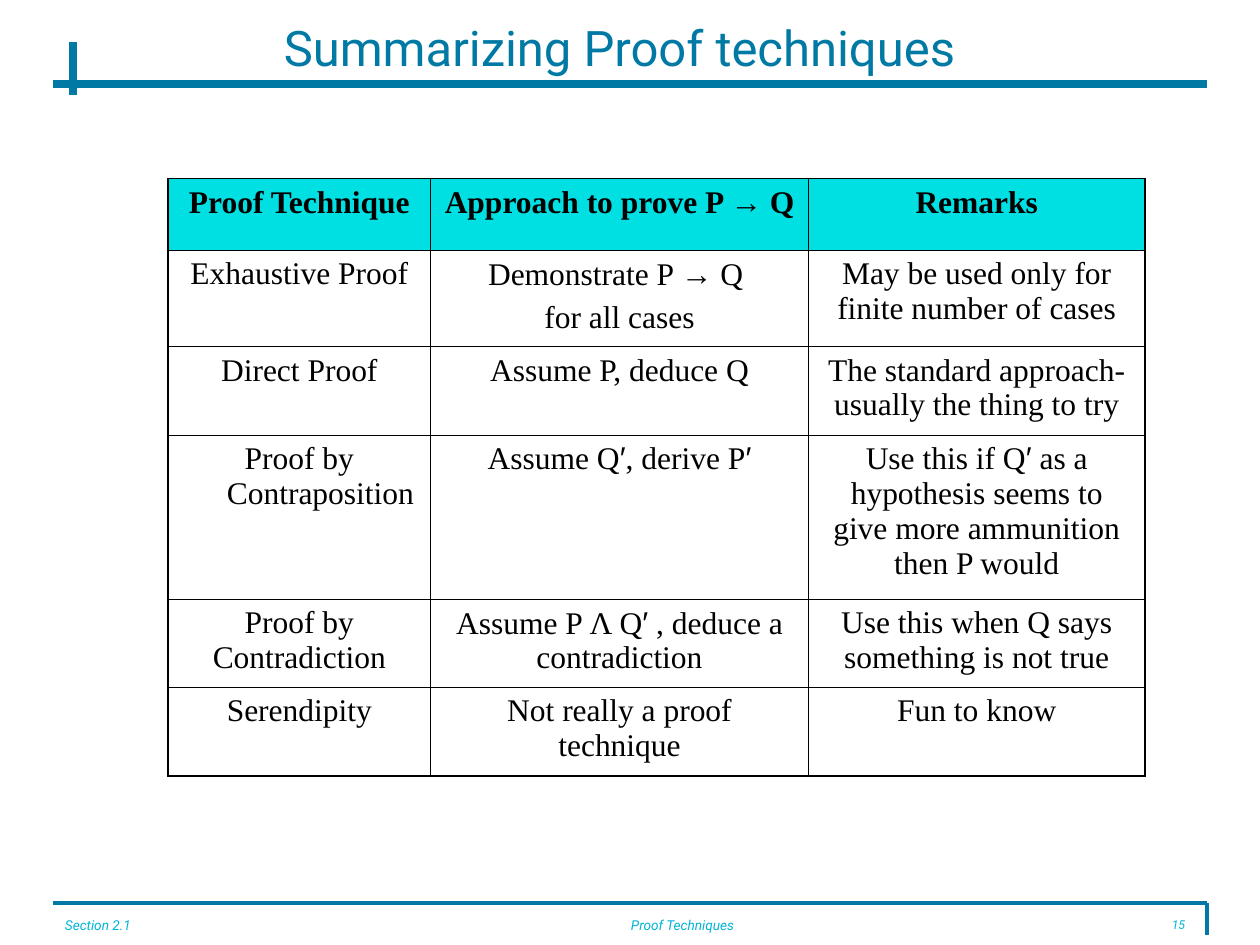
from dataclasses import dataclass
from itertools import groupby

from lxml.etree import SubElement
from pptx import Presentation
from pptx.dml.color import RGBColor
from pptx.enum.shapes import MSO_CONNECTOR as Connector
from pptx.enum.text import MSO_ANCHOR as Anchor, PP_ALIGN as Align
from pptx.oxml.ns import qn
from pptx.util import Cm, Pt


@dataclass(frozen=True)
class Theme:
    rule: RGBColor = RGBColor.from_string("007AA5")
    footer: RGBColor = RGBColor.from_string("00B5D6")
    header_fill: RGBColor = RGBColor.from_string("00E0E3")
    ink: RGBColor = RGBColor.from_string("000000")
    heading_font: str = "Roboto"
    table_font: str = "Times New Roman"
    symbol_font: str = "Arial"
    title_size: float = 28
    table_size: float = 18
    footer_size: float = 7.8
    number_size: float = 7
    outer_border: float = 1.08
    inner_border: float = 0.45


THEME = Theme()
SYMBOLS = "→′"

RULES = [  # x1, y1, x2, y2 in cm, width in points
    (1.06, 18.2, 24.34, 18.2, 2.25),
    (24.34, 18.2, 24.34, 18.84, 2.25),
    (1.06, 1.69, 24.34, 1.69, 4.5),
    (1.48, 0.85, 1.48, 1.91, 4.5),
]
FOOTERS = [  # text, left and width in cm, alignment, size
    ("Section 2.1", 1.06, 4.45, Align.LEFT, THEME.footer_size),
    ("Proof Techniques", 8.47, 10.58, Align.CENTER, THEME.footer_size),
    ("15", 22.23, 1.91, Align.RIGHT, THEME.number_size),
]
COLUMN_WIDTHS = [5.29, 7.62, 6.78]
ROW_HEIGHTS = [1.45, 1.93, 1.78, 3.31, 1.78, 1.78]
TECHNIQUES = [
    ("Proof Technique", "Approach to prove P → Q ", "Remarks"),
    ("Exhaustive Proof", "Demonstrate P → Q \nfor all cases",
     "May be used only for finite number of cases"),
    ("Direct Proof", "Assume P, deduce Q",
     "The standard approach- usually the thing to try"),
    ("Proof by Contraposition", "Assume Q′, derive P′",
     "Use this if Q′ as a hypothesis seems to give more ammunition then P would"),
    ("Proof by Contradiction", "Assume P Λ Q′ , deduce a contradiction",
     "Use this when Q says something is not true"),
    ("Serendipity", "Not really a proof technique", "Fun to know"),
]
HANGING_CELL = (3, 0)


def apply_format(target, values):
    for name, value in values.items():
        setattr(target, name, value)


def add_span(para, text, color, **values):
    span = para.add_run()
    span.text = text
    apply_format(span.font, values)
    span.font.color.rgb = color


def add_rule(slide, x1, y1, x2, y2, width):
    rule = slide.shapes.add_connector(
        Connector.STRAIGHT, Cm(x1), Cm(y1), Cm(x2), Cm(y2))
    rule.line.color.rgb = THEME.rule
    rule.line.width = Pt(width)
    SubElement(rule._element.spPr, qn("a:effectLst"))


def add_footer(slide, text, left, width, alignment, size):
    box = slide.shapes.add_textbox(Cm(left), Cm(18.42), Cm(width), Cm(0.64))
    box.text_frame.word_wrap = True
    para = box.text_frame.paragraphs[0]
    apply_format(para, {"alignment": alignment, "line_spacing": 0.8})
    add_span(para, text, THEME.footer, name=THEME.heading_font,
             size=Pt(size), italic=True)


def format_title(title, text):
    apply_format(title, {"left": Cm(1.69), "top": Cm(0.42),
                         "width": Cm(21.59), "height": Cm(1.06)})
    apply_format(title.text_frame, {"word_wrap": True,
                                    "vertical_anchor": Anchor.MIDDLE})
    para = title.text_frame.paragraphs[0]
    para.alignment = Align.CENTER
    add_span(para, text, THEME.rule, name=THEME.heading_font,
             size=Pt(THEME.title_size))


def add_borders(cell, outer_sides):
    """Draw all four sides, heavier where the cell meets the table's edge."""
    properties = cell._tc.get_or_add_tcPr()
    for side in "LRTB":
        points = THEME.outer_border if side in outer_sides else THEME.inner_border
        line = SubElement(properties, qn(f"a:ln{side}"), w=str(Pt(points)))
        fill = SubElement(line, qn("a:solidFill"))
        SubElement(fill, qn("a:srgbClr"), val=str(THEME.ink))


def fill_cell(cell, text, bold):
    """Write one paragraph per line, with math symbols in their own font."""
    for index, line in enumerate(text.split("\n")):
        frame = cell.text_frame
        para = frame.add_paragraph() if index else frame.paragraphs[0]
        apply_format(para, {"alignment": Align.CENTER, "space_before": Pt(4.5)})
        for is_symbol, letters in groupby(line, lambda letter: letter in SYMBOLS):
            font = THEME.symbol_font if is_symbol else THEME.table_font
            add_span(para, "".join(letters), THEME.ink, name=font,
                     size=Pt(THEME.table_size), bold=bold)


def add_technique_table(slide):
    last_row, last_column = len(ROW_HEIGHTS) - 1, len(COLUMN_WIDTHS) - 1
    table = slide.shapes.add_table(
        len(ROW_HEIGHTS), len(COLUMN_WIDTHS), Cm(3.39), Cm(3.6),
        Cm(sum(COLUMN_WIDTHS)), Cm(sum(ROW_HEIGHTS))).table
    table.horz_banding = False
    for column, width in zip(table.columns, COLUMN_WIDTHS):
        column.width = Cm(width)
    for row, height in zip(table.rows, ROW_HEIGHTS):
        row.height = Cm(height)

    for r, texts in enumerate(TECHNIQUES):
        for c, text in enumerate(texts):
            cell = table.cell(r, c)
            edges = {"L": c == 0, "R": c == last_column,
                     "T": r == 0, "B": r == last_row}
            add_borders(cell, [side for side, outer in edges.items() if outer])
            if r == 0:
                cell.fill.solid()
                cell.fill.fore_color.rgb = THEME.header_fill
            else:
                cell.fill.background()
            fill_cell(cell, text, bold=r == 0)

    hanging = table.cell(*HANGING_CELL).text_frame.paragraphs[0]
    properties = hanging._p.get_or_add_pPr()
    properties.set("marL", str(Cm(0.85)))
    properties.set("indent", str(-Cm(0.85)))


def main():
    deck = Presentation()
    apply_format(deck, {"slide_width": Cm(25.4), "slide_height": Cm(19.05)})
    slide = deck.slides.add_slide(deck.slide_layouts[5])
    for rule in RULES:
        add_rule(slide, *rule)
    for footer in FOOTERS:
        add_footer(slide, *footer)
    format_title(slide.shapes.title, "Summarizing Proof techniques")
    add_technique_table(slide)
    deck.save("out.pptx")


if __name__ == "__main__":
    main()
